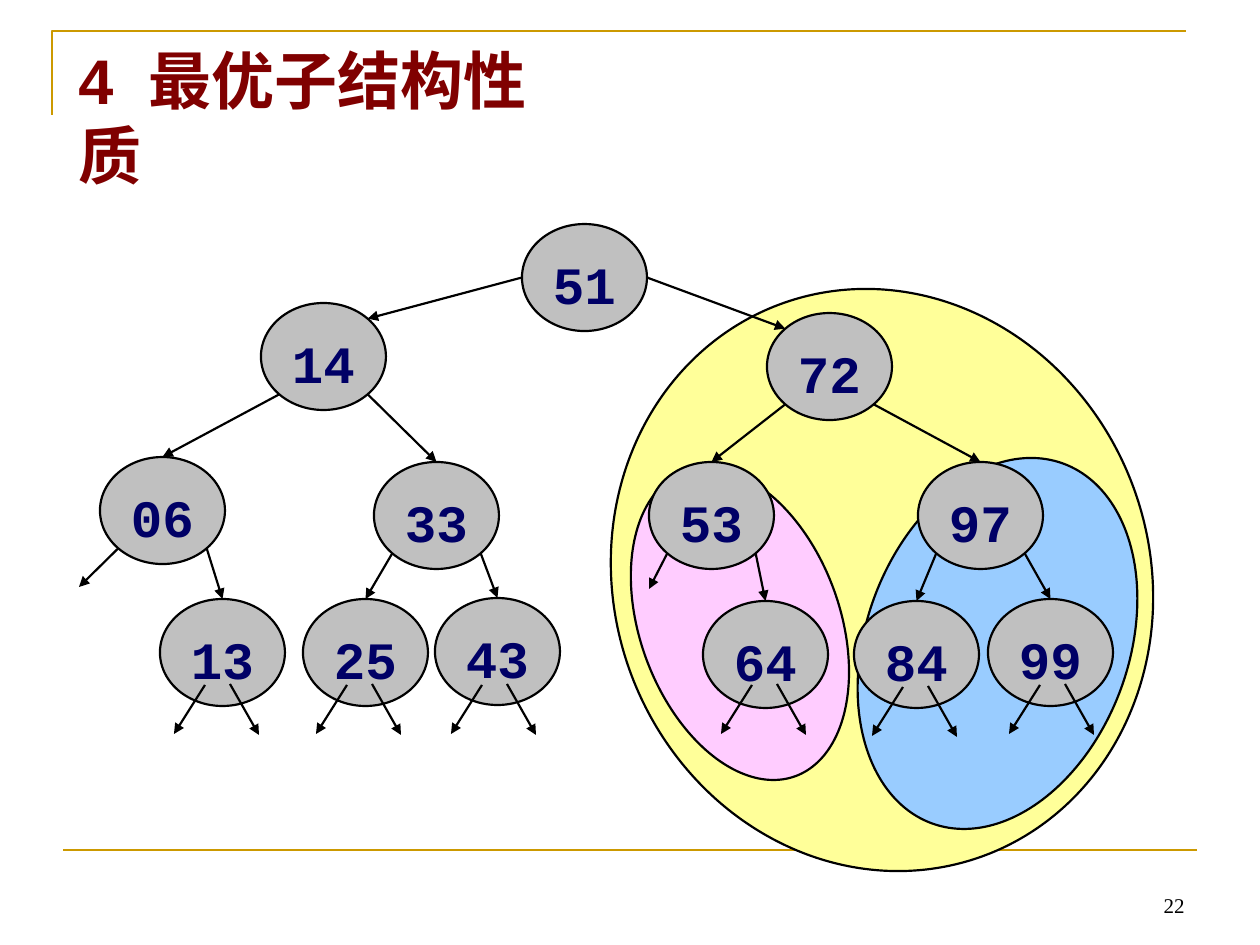
import math
from dataclasses import dataclass

import pptx
import pptx.dml.color
import pptx.enum.shapes
import pptx.enum.text
import pptx.oxml.ns
import pptx.util
from lxml import etree

SCALE = pptx.util.Inches(1) / 126  # EMU in one px
NODE_WIDTH, NODE_HEIGHT = 125, 107
ALIGN = pptx.enum.text.PP_ALIGN
ANCHOR = pptx.enum.text.MSO_ANCHOR


@dataclass(frozen=True)
class Theme:
    gold: str = "CC9900"
    black: str = "000000"
    title: str = "800000"
    label: str = "000066"
    node: str = "C0C0C0"
    yellow: str = "FFFF99"
    blue: str = "99CCFF"
    pink: str = "FFCCFF"
    title_size: int = 36
    label_size: int = 30
    number_size: int = 12
    rule_width: float = 1.5
    line_width: float = 1.25


THEME = Theme()

# Top left corner of each tree node
NODES = {
    "51": (522, 224), "14": (261, 303), "72": (767, 313),
    "06": (100, 457), "33": (374, 462), "53": (649, 462), "97": (918, 462),
    "13": (160, 599), "25": (303, 599), "43": (435, 598),
    "64": (703, 601), "84": (854, 601), "99": (988, 599),
}
# Left and right child of each inner node
CHILDREN = {
    "14": ("06", "33"), "72": ("53", "97"), "06": (None, "13"),
    "33": ("25", "43"), "53": (None, "64"), "97": ("84", "99"),
}
# Ends of the arrows to missing left children
STUBS = {"06": (79, 587), "53": (649, 589)}
# Middle of each pair of arrows under a leaf
LEAF_TAILS = [(218, 685), (360, 685), (495, 685),
              (765, 685), (916, 687), (1053, 685)]
# Subtree areas: left, top, width, height, rotation, fill
AREAS = [
    (614, 286, 536, 588, 340, THEME.yellow),
    (866, 452, 263, 383, 20, THEME.blue),
    (640, 462, 200, 324, 340, THEME.pink),
]


def px(value):
    return pptx.util.Emu(round(value * SCALE))


def rgb(value):
    return pptx.dml.color.RGBColor.from_string(value)


def style_line(line, colour, width):
    line.color.rgb = rgb(colour)
    line.width = pptx.util.Pt(width)


def style_font(font, name, size, colour, bold=False):
    font.name = name
    font.size = pptx.util.Pt(size)
    font.color.rgb = rgb(colour)
    font.bold = bold


def add_ellipse(page, left, top, width, height, fill, rotation=0):
    shape = page.shapes.add_shape(
        pptx.enum.shapes.MSO_SHAPE.OVAL, px(left), px(top), px(width), px(height))
    shape.rotation = rotation
    shape.shadow.inherit = False
    shape.fill.solid()
    shape.fill.fore_color.rgb = rgb(fill)
    style_line(shape.line, THEME.black, THEME.line_width)
    return shape


def add_node(page, label, left, top):
    shape = add_ellipse(page, left, top, NODE_WIDTH, NODE_HEIGHT, THEME.node)
    frame = shape.text_frame
    frame.word_wrap = False
    frame.vertical_anchor = ANCHOR.MIDDLE
    frame.margin_top = px(19)
    para = frame.paragraphs[0]
    para.text = label
    para.alignment = ALIGN.CENTER
    style_font(para.font, "Courier New", THEME.label_size, THEME.label, True)


def add_line(page, start, end, colour, width, arrow=False):
    line = page.shapes.add_connector(
        pptx.enum.shapes.MSO_CONNECTOR.STRAIGHT, *map(px, start + end))
    style_line(line.line, colour, width)
    if arrow:
        outline = line.line._get_or_add_ln()
        etree.SubElement(outline, pptx.oxml.ns.qn("a:tailEnd"), type="triangle")
    properties = line._element.spPr
    etree.SubElement(properties, pptx.oxml.ns.qn("a:effectLst"))


def add_arrow(page, start, end):
    add_line(page, start, end, THEME.black, THEME.line_width, arrow=True)


def node_point(label, across, down):
    """Point on a node's outline, in the direction given by -1, 0 or 1."""
    left, top = NODES[label]
    length = math.hypot(across, down)
    return (left + NODE_WIDTH / 2 * (1 + across / length),
            top + NODE_HEIGHT / 2 * (1 + down / length))


def add_text_box(page, left, top, width, height, anchor):
    box = page.shapes.add_textbox(px(left), px(top), px(width), px(height))
    box.text_frame.word_wrap = True
    box.text_frame.vertical_anchor = anchor
    return box.text_frame.paragraphs[0]


def add_frame(page):
    builder = page.shapes.build_freeform(px(52), px(115))
    builder.add_line_segments([(px(52), px(31)), (px(1186), px(31))], close=False)
    corner = builder.convert_to_shape()
    corner.shadow.inherit = False
    corner.fill.background()
    style_line(corner.line, THEME.gold, THEME.rule_width)
    add_line(page, (63, 850), (1197, 850), THEME.gold, THEME.rule_width)


def add_title(page):
    para = add_text_box(page, 66, 35, 525, 164, ANCHOR.TOP)
    for text in ("4", " ", "最优子结构性质"):
        span = para.add_run()
        span.text = text
        if text == " ":  # widen the gap after the number
            span._r.get_or_add_rPr().set("spc", "1000")
    style_font(para.font, "Arial", THEME.title_size, THEME.title, True)


def add_page_number(page):
    para = add_text_box(page, 903, 861, 294, 63, ANCHOR.BOTTOM)
    para.text = "22"
    para.alignment = ALIGN.RIGHT
    style_font(para.font, "Times New Roman", THEME.number_size, THEME.black)


def add_tree(page):
    for label, (left, top) in NODES.items():
        add_node(page, label, left, top)
    # Root arrows leave from the sides
    add_arrow(page, node_point("51", -1, 0), node_point("14", 1, -1))
    add_arrow(page, node_point("51", 1, 0), node_point("72", -1, -1))
    # Other arrows leave from the lower corners
    for parent, pair in CHILDREN.items():
        for side, child in zip((-1, 1), pair):
            end = node_point(child, 0, -1) if child else STUBS[parent]
            add_arrow(page, node_point(parent, side, 1), end)
    for x, y in LEAF_TAILS:
        add_arrow(page, (x - 13, y), (x - 44, y + 49))
        add_arrow(page, (x + 12, y - 1), (x + 41, y + 50))


def main():
    deck = pptx.Presentation()
    deck.slide_width, deck.slide_height = px(1260), px(945)
    page = deck.slides.add_slide(deck.slide_layouts[6])
    add_frame(page)
    add_page_number(page)
    for left, top, width, height, rotation, fill in AREAS:
        add_ellipse(page, left, top, width, height, fill, rotation)
    add_tree(page)
    add_title(page)
    deck.save("out.pptx")


if __name__ == "__main__":
    main()
